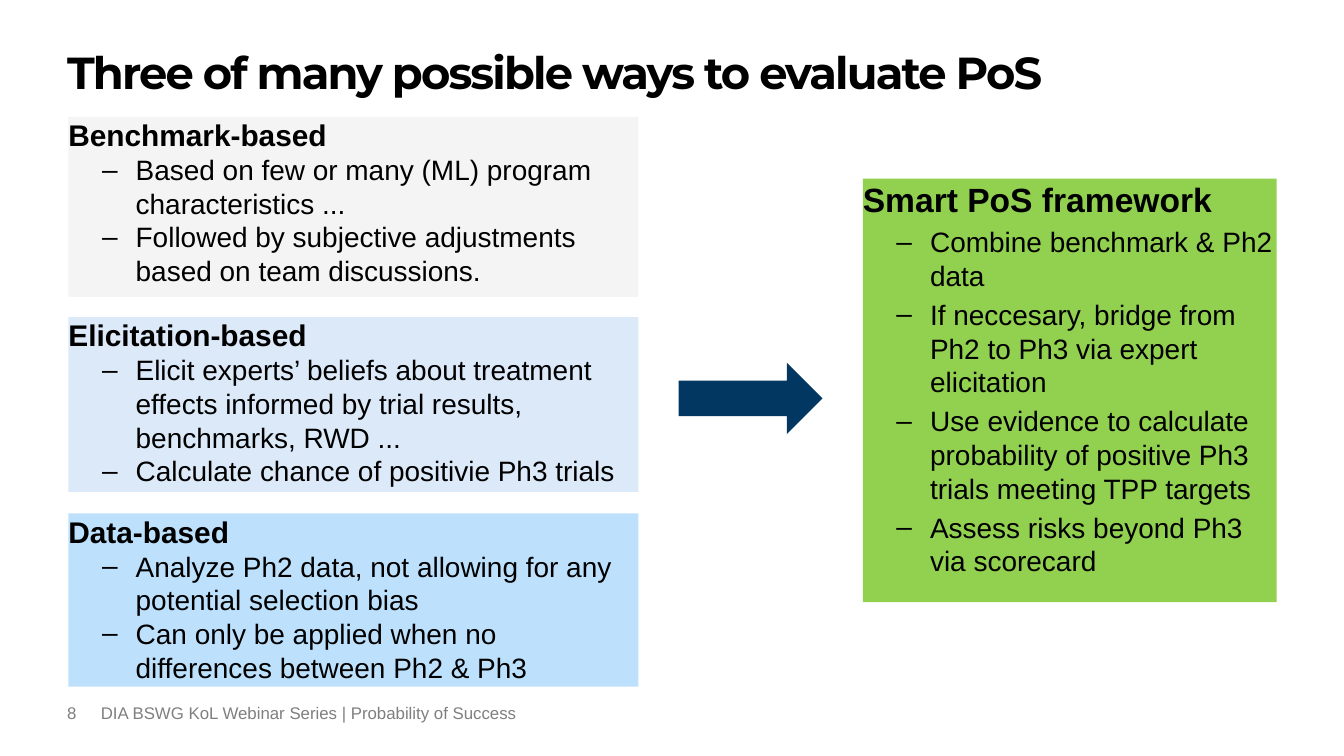
from dataclasses import dataclass

import pptx
import pptx.dml.color
import pptx.enum.shapes
import pptx.enum.text
import pptx.oxml.ns
import pptx.util
from lxml import etree
from pptx.util import Inches

COLOURS = {
    "text": "000000",
    "footer": "7F7F7F",
    "benchmark": "F4F4F4",
    "elicitation": "DCE9F8",
    "data": "BDE1FD",
    "framework": "92D050",
    "arrow": "023761",
}
LEFT_COLUMN = 0.51
LEFT_WIDTH = 4.24


@dataclass
class Panel:
    left: float
    top: float
    width: float
    height: float
    fill: str
    heading: str
    bullets: list[str]
    heading_size: int = 16
    bullet_space: int = 0


PANELS = [
    Panel(LEFT_COLUMN, 0.87, LEFT_WIDTH, 1.34, "benchmark", "Benchmark-based", [
        "Based on few or many (ML) program characteristics ...",
        "Followed by subjective adjustments based on team discussions.",
    ]),
    Panel(LEFT_COLUMN, 2.36, LEFT_WIDTH, 1.3, "elicitation", "Elicitation-based", [
        "Elicit experts’ beliefs about treatment effects informed by trial results, "
        "benchmarks, RWD ...",
        "Calculate chance of positivie Ph3 trials",
    ]),
    Panel(LEFT_COLUMN, 3.82, LEFT_WIDTH, 1.29, "data", "Data-based", [
        "Analyze Ph2 data, not allowing for any potential selection bias",
        "Can only be applied when no differences between Ph2 & Ph3",
    ]),
    Panel(6.42, 1.33, 3.08, 3.15, "framework", "Smart PoS framework", [
        "Combine benchmark & Ph2 data",
        "If neccesary, bridge from Ph2 to Ph3 via expert elicitation",
        "Use evidence to calculate probability of positive Ph3 trials meeting TPP targets",
        "Assess risks beyond Ph3 via scorecard",
    ], heading_size=18, bullet_space=3),
]


def colour(name: str) -> pptx.dml.color.RGBColor:
    return pptx.dml.color.RGBColor.from_string(COLOURS[name])


def prepare_frame(shape):
    """Top-anchored, wrapping text frame without margins."""
    frame = shape.text_frame
    frame.word_wrap = True
    frame.vertical_anchor = pptx.enum.text.MSO_ANCHOR.TOP
    frame.margin_left = frame.margin_right = frame.margin_top = frame.margin_bottom = 0
    return frame


def style_paragraph(paragraph, size: int, bold: bool = False,
                    fill: str = "text", font: str = "Arial") -> None:
    paragraph.alignment = pptx.enum.text.PP_ALIGN.LEFT
    paragraph.font.name = font
    paragraph.font.size = pptx.util.Pt(size)
    paragraph.font.bold = bold
    paragraph.font.color.rgb = colour(fill)


def add_dash(paragraph) -> None:
    properties = paragraph._p.get_or_add_pPr()
    properties.set("marL", str(Inches(0.5)))
    properties.set("indent", str(Inches(-0.25)))
    bullet_font = etree.SubElement(properties, pptx.oxml.ns.qn("a:buFont"))
    bullet_font.set("typeface", "Arial")
    bullet = etree.SubElement(properties, pptx.oxml.ns.qn("a:buChar"))
    bullet.set("char", "–")


def add_block(slide, kind, left: float, top: float, width: float, height: float, fill: str):
    shape = slide.shapes.add_shape(kind, Inches(left), Inches(top), Inches(width), Inches(height))
    shape.shadow.inherit = False
    shape.fill.solid()
    shape.fill.fore_color.rgb = colour(fill)
    shape.line.fill.background()
    return shape


def add_panel(slide, panel: Panel) -> None:
    shape = add_block(slide, pptx.enum.shapes.MSO_SHAPE.RECTANGLE, panel.left, panel.top,
                      panel.width, panel.height, panel.fill)
    frame = prepare_frame(shape)
    heading = frame.paragraphs[0]
    heading.text = panel.heading
    style_paragraph(heading, panel.heading_size, bold=True)
    for text in panel.bullets:
        paragraph = frame.add_paragraph()
        paragraph.text = text
        paragraph.level = 1
        paragraph.space_before = pptx.util.Pt(panel.bullet_space)
        add_dash(paragraph)
        style_paragraph(paragraph, 15)


def add_label(slide, text: str, left: float, top: float, width: float, height: float,
              size: int, **style):
    box = slide.shapes.add_textbox(Inches(left), Inches(top), Inches(width), Inches(height))
    paragraph = prepare_frame(box).paragraphs[0]
    paragraph.text = text
    style_paragraph(paragraph, size, **style)
    return paragraph


def main() -> None:
    # Widescreen page, 16 to 9
    presentation = pptx.Presentation()
    presentation.slide_width = Inches(10)
    presentation.slide_height = Inches(10 * 9 / 16)
    slide = presentation.slides.add_slide(presentation.slide_layouts[6])

    # Title with tightened letter spacing
    title = add_label(slide, "Three of many possible ways to evaluate PoS",
                      0.5, 0.38, 9, 0.55, 24, bold=True, font="Montserrat")
    title.line_spacing = 0.9
    title.runs[0]._r.get_or_add_rPr().set("spc", "-100")

    # Three approaches leading to the framework
    for panel in PANELS:
        add_panel(slide, panel)
    add_block(slide, pptx.enum.shapes.MSO_SHAPE.RIGHT_ARROW, 5.05, 2.7, 1.07, 0.53, "arrow")

    # Footer
    add_label(slide, "8", 0.5, 5.23, 0.25, 0.25, 9, fill="footer")
    add_label(slide, "DIA BSWG KoL Webinar Series | Probability of Success",
              0.75, 5.23, 4.15, 0.25, 9, fill="footer")

    presentation.save("out.pptx")


if __name__ == "__main__":
    main()
